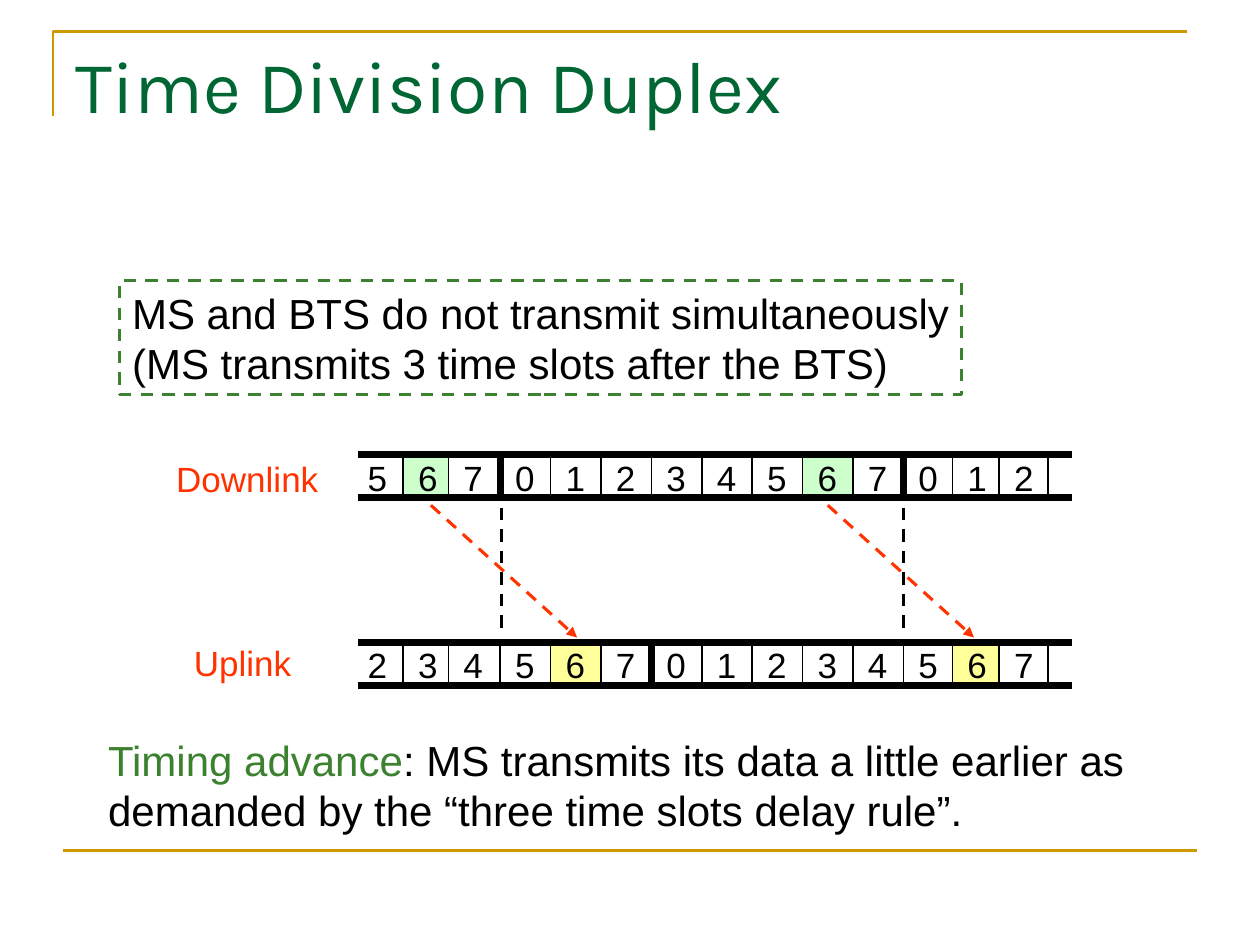
from lxml import etree
from pptx import Presentation
from pptx import util as u
from pptx.dml.color import RGBColor
from pptx.enum import dml, shapes, text
from pptx.oxml.ns import qn

BLACK = RGBColor(0x00, 0x00, 0x00)
GOLD = RGBColor(0xCC, 0x99, 0x00)
TITLE_GREEN = RGBColor(0x00, 0x66, 0x33)
GREEN = RGBColor(0x3B, 0x81, 0x2F)
RED = RGBColor(0xFF, 0x33, 0x00)
MINT = RGBColor(0xCC, 0xFF, 0xCC)
YELLOW = RGBColor(0xFF, 0xFF, 0x99)

# Slot edges: full slots are 0.4 wide, the cut ones at both ends are narrower
SLOT_EDGES = [2.8, 3.2, 3.56] + [3.97 + 0.4 * i for i in range(9)] + [7.56, 7.93, 8.32]
SLOT_HEIGHT = 0.34
RAIL_LEFT, RAIL_RIGHT = 2.84, 8.51
DOWNLINK_TOP, UPLINK_TOP = 3.61, 5.1


def style_line(line, color, width, dashed=False):
    line.color.rgb = color
    line.width = u.Pt(width)
    if dashed:
        line.dash_style = dml.MSO_LINE.DASH


def add_line(slide, start, end, color=BLACK, width=1, dashed=False, arrow=False):
    points = [u.Inches(value) for value in (*start, *end)]
    connector = slide.shapes.add_connector(shapes.MSO_CONNECTOR.STRAIGHT, *points)
    style_line(connector.line, color, width, dashed)
    properties = connector._element.spPr
    if arrow:
        etree.SubElement(properties.find(qn("a:ln")), qn("a:tailEnd"), type="triangle")
    etree.SubElement(properties, qn("a:effectLst"))


def add_rectangle(slide, left, top, width, height, fill=None):
    box = slide.shapes.add_shape(
        shapes.MSO_SHAPE.RECTANGLE, *map(u.Inches, (left, top, width, height)))
    box.shadow.inherit = False
    if fill is None:
        box.fill.background()
    else:
        box.fill.solid()
        box.fill.fore_color.rgb = fill
    style_line(box.line, BLACK, 1)
    return box


def write_text(box, lines, size, color=BLACK):
    """Each line is a list of (words, color) spans; a None color keeps the line's own."""
    frame = box.text_frame
    frame.word_wrap = False
    frame.vertical_anchor = text.MSO_ANCHOR.TOP
    for index, spans in enumerate(lines):
        para = frame.add_paragraph() if index else frame.paragraphs[0]
        para.alignment = text.PP_ALIGN.LEFT
        para.font.name = "Arial"
        para.font.size = u.Pt(size)
        para.font.color.rgb = color
        for words, span_color in spans:
            span = para.add_run()
            span.text = words
            if span_color is not None:
                span.font.color.rgb = span_color


def add_text(slide, left, top, width, height, lines, size, color=BLACK):
    box = slide.shapes.add_textbox(*map(u.Inches, (left, top, width, height)))
    write_text(box, lines, size, color)


def add_title(slide, words):
    title = slide.shapes.title
    title.left, title.top = u.Inches(0.5), u.Inches(0.27)
    title.width, title.height = u.Inches(9.17), u.Inches(1.45)
    title.text_frame.text = words
    title.text_frame.vertical_anchor = text.MSO_ANCHOR.TOP
    para = title.text_frame.paragraphs[0]
    para.alignment = text.PP_ALIGN.LEFT
    para.font.name = "Karla"
    para.font.size = u.Pt(42)
    para.font.color.rgb = TITLE_GREEN


def add_page_rules(slide):
    builder = slide.shapes.build_freeform(u.Inches(0.42), u.Inches(0.92))
    corner = [(u.Inches(0.42), u.Inches(0.25)), (u.Inches(9.42), u.Inches(0.25))]
    builder.add_line_segments(corner, close=False)
    bracket = builder.convert_to_shape()
    bracket.shadow.inherit = False
    bracket.fill.background()
    style_line(bracket.line, GOLD, 1.5)
    add_line(slide, (0.5, 6.75), (9.5, 6.75), GOLD, 1.5)


def add_channel(slide, top, numbers, highlight, marked):
    """Draw a row of time slots; a thick divider opens each frame (slot 0)."""
    bottom = top + SLOT_HEIGHT
    for slot in marked:
        left, right = SLOT_EDGES[slot:slot + 2]
        add_rectangle(slide, left, top + 0.02, right - left, 0.32, highlight)
    for slot, edge in enumerate(SLOT_EDGES[1:], start=1):
        starts_frame = numbers[slot:slot + 1] == "0"
        add_line(slide, (edge, top), (edge, bottom), width=4 if starts_frame else 1)
    for y in (top, bottom):
        add_line(slide, (RAIL_LEFT, y), (RAIL_RIGHT, y), width=4)
    for edge, number in zip(SLOT_EDGES, numbers):
        add_text(slide, edge + 0.02, top - 0.04, 0.35, 0.44, [[(number, None)]], 20)


def main():
    deck = Presentation()
    deck.slide_width, deck.slide_height = u.Inches(10), u.Inches(7.5)
    slide = deck.slides.add_slide(deck.slide_layouts[5])
    add_page_rules(slide)
    add_title(slide, "Time Division Duplex")

    # Rule in the dashed box
    rule = add_rectangle(slide, 0.95, 2.23, 6.68, 0.9)
    style_line(rule.line, GREEN, 1.75, dashed=True)
    write_text(rule, [
        [("MS and BTS do not transmit simultaneously", None)],
        [("(MS transmits 3 time slots after the BTS)", None)],
    ], 24)

    # Both channels
    add_text(slide, 1.3, 3.58, 1.33, 0.43, [[("Downlink", None)]], 20, RED)
    add_text(slide, 1.44, 5.04, 0.97, 0.43, [[("Uplink", None)]], 20, RED)
    add_channel(slide, DOWNLINK_TOP, "56701234567012", MINT, (1, 9))
    add_channel(slide, UPLINK_TOP, "23456701234567", YELLOW, (4, 12))

    # Frame starts and the three-slot delay
    for frame_start, sent in ((3.98, 3.42), (7.17, 6.57)):
        add_line(slide, (frame_start, 4.03), (frame_start, 5.05), width=1.75, dashed=True)
        add_line(slide, (sent, 4.01), (sent + 1.16, 5.06), RED, 1.75, dashed=True, arrow=True)

    # Closing remark
    add_text(slide, 0.76, 5.78, 8.27, 0.9, [
        [("Timing advance", GREEN), (": MS transmits its data a little earlier as", None)],
        [("demanded by the “three time slots delay rule”.", None)],
    ], 24)
    deck.save("out.pptx")


if __name__ == "__main__":
    main()
